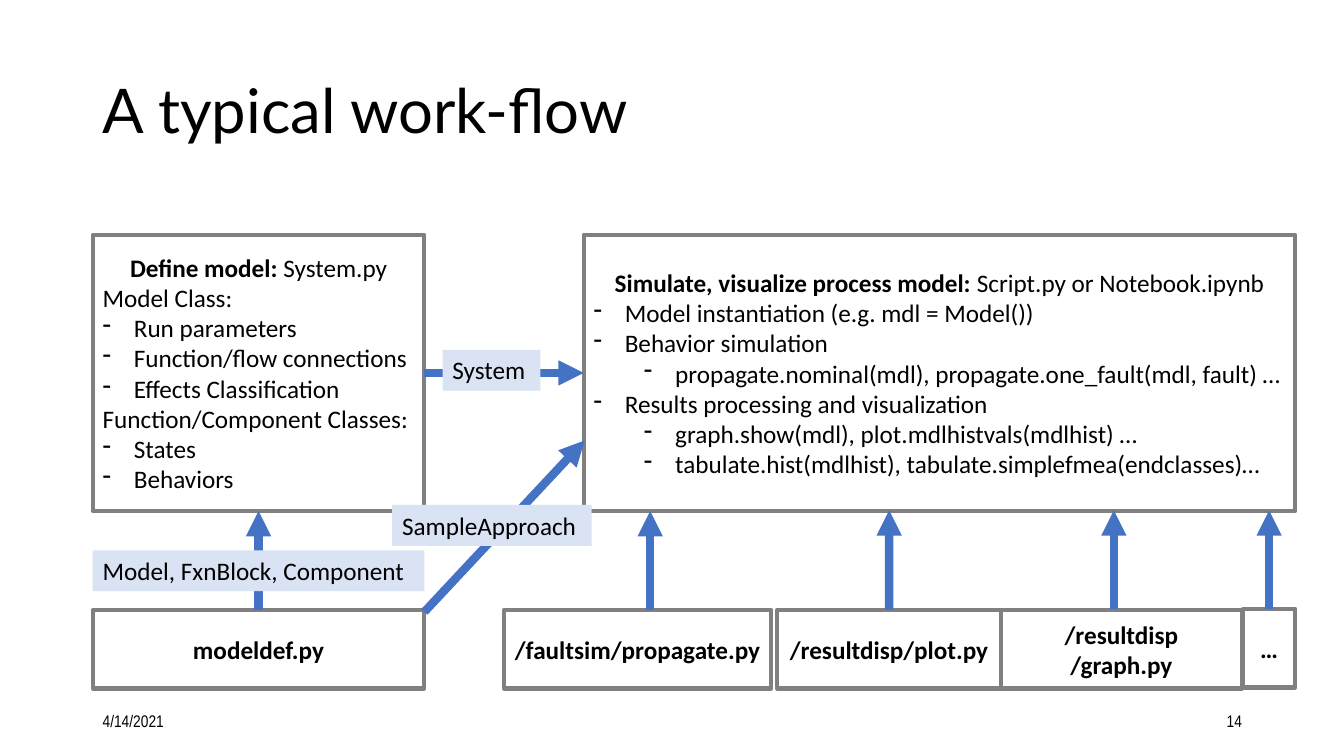
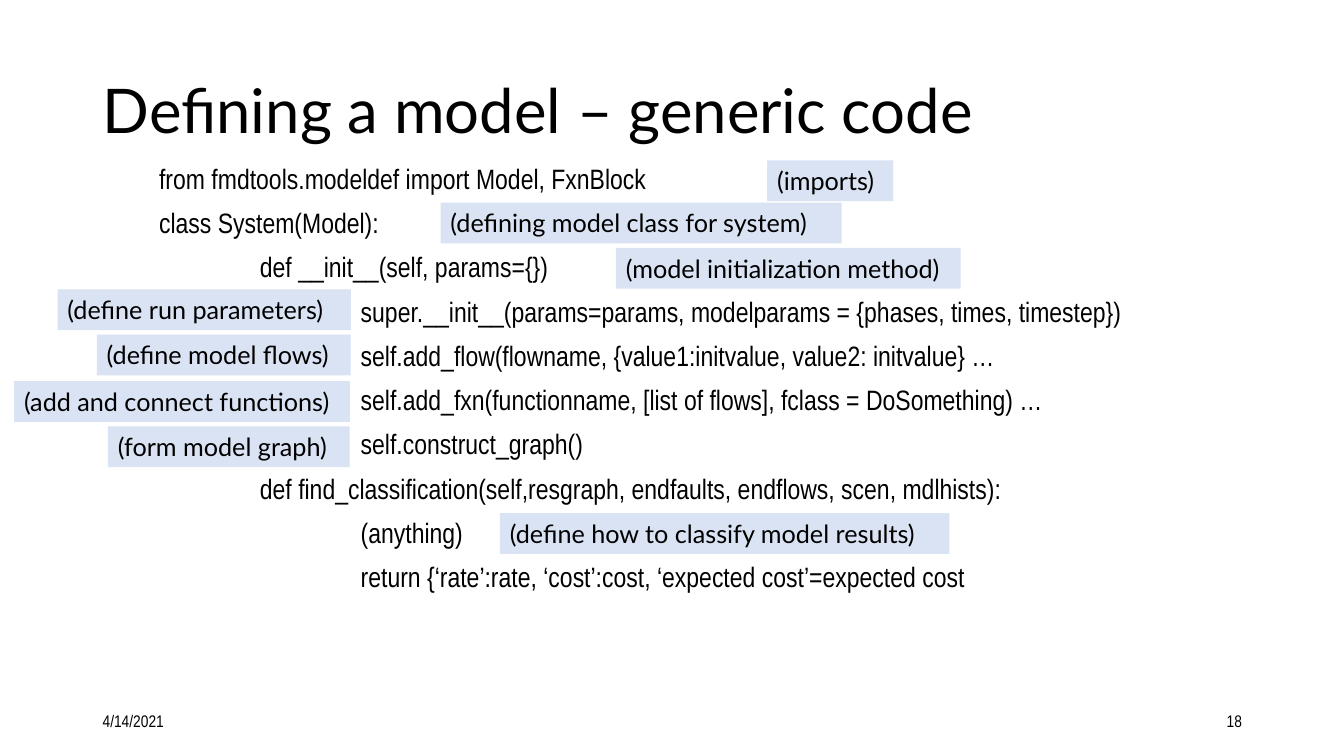
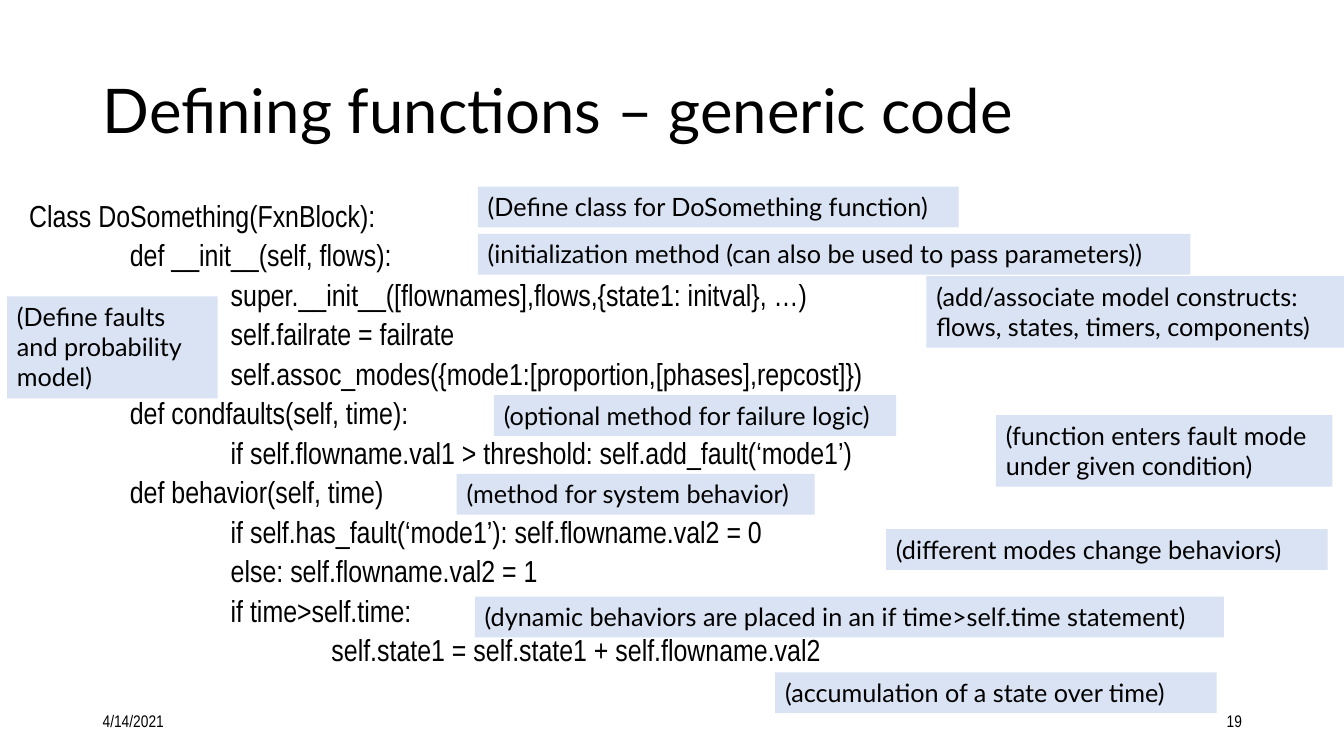
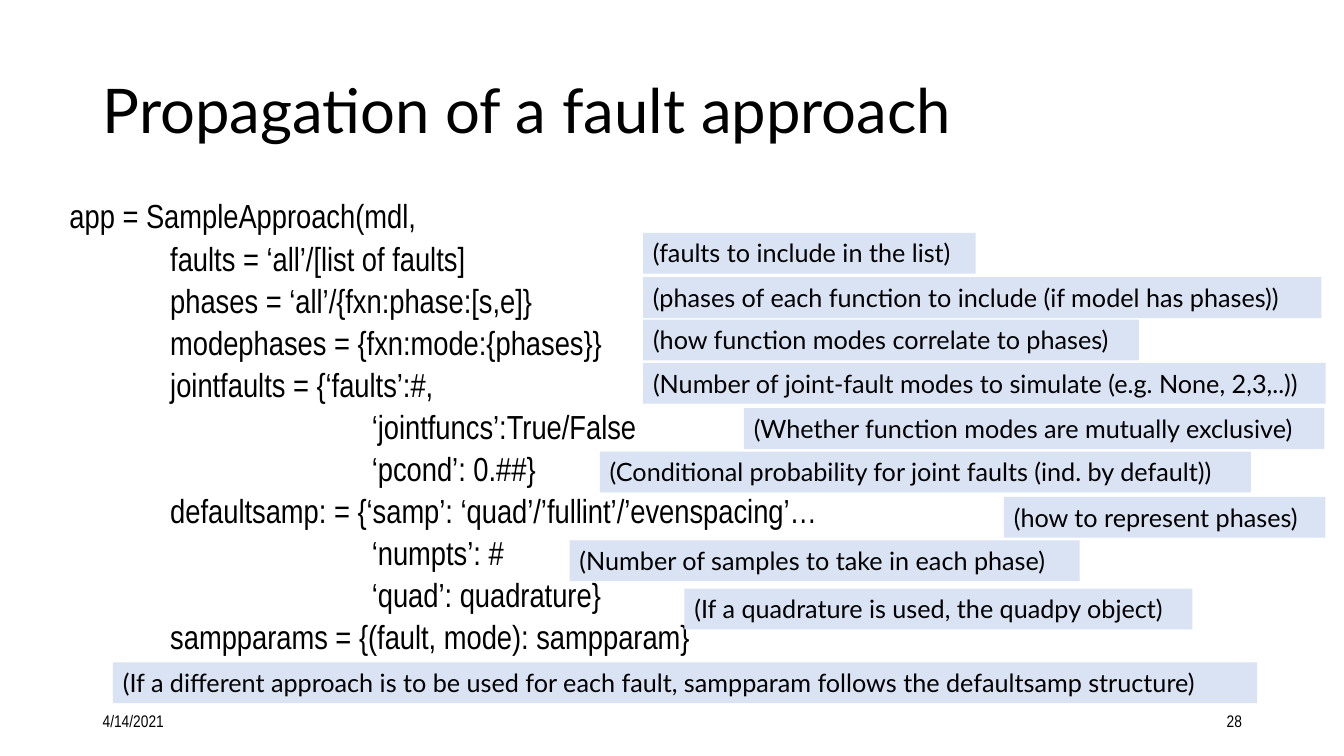
from itertools import cycle
from lxml.etree import SubElement
from pptx import Presentation
from pptx.dml.color import RGBColor
from pptx.enum.shapes import MSO_CONNECTOR, MSO_SHAPE
from pptx.enum.text import MSO_ANCHOR, PP_ALIGN
from pptx.oxml.ns import qn
from pptx.util import Inches, Pt

THEME = {
    "ink": RGBColor.from_string("000000"),
    "paper": RGBColor.from_string("FFFFFF"),
    "edge": RGBColor.from_string("808080"),
    "arrow": RGBColor.from_string("4472C4"),
    "tint": RGBColor.from_string("DAE3F3"),
    "title": {"font": {"name": "Lato", "size": Pt(44)},
              "para": {"line_spacing": 0.9},
              "frame": {"vertical_anchor": MSO_ANCHOR.MIDDLE}},
    "date": {"font": {"name": "Arial Narrow", "size": Pt(12)},
             "para": {},
             "frame": {"vertical_anchor": MSO_ANCHOR.MIDDLE}},
    "number": {"font": {"name": "Arial Narrow", "size": Pt(12)},
               "para": {"alignment": PP_ALIGN.RIGHT},
               "frame": {"vertical_anchor": MSO_ANCHOR.MIDDLE}},
    "step": {"font": {"name": "Calibri", "size": Pt(18)},
             "para": {"alignment": PP_ALIGN.LEFT},
             "frame": {"vertical_anchor": MSO_ANCHOR.MIDDLE}},
    "label": {"font": {"name": "Calibri", "size": Pt(18)}, "para": {}, "frame": {}},
    "note": {"font": {"name": "Lato", "size": Pt(18)}, "para": {}, "frame": {}},
}

deck = Presentation()
deck.slide_width, deck.slide_height = Inches(40 / 3), Inches(7.5)
COL, ROW = deck.slide_width / 100, deck.slide_height / 100
TAB, DASH, NEST = Inches(1), Inches(0.31), Inches(0.5)


def grid(*spans):
    return [round(span * unit) for span, unit in zip(spans, cycle((COL, ROW)))]


def write(shape, lines, look):
    frame = shape.text_frame
    frame.word_wrap = True
    for key, value in look["frame"].items():
        setattr(frame, key, value)
    for spot, line in enumerate(lines):
        para = frame.add_paragraph() if spot else frame.paragraphs[0]
        text = line.lstrip("\t")
        depth = len(line) - len(text)
        for key, value in look["para"].items():
            setattr(para, key, value)
        props = para._p.get_or_add_pPr()
        if text.startswith("- "):
            text = text[2:]
            props.set("marL", str(DASH + depth * NEST))
            props.set("indent", str(-DASH))
            SubElement(props, qn("a:buChar"), char="-")
        elif depth:
            props.set("marL", str(depth * TAB))
        head, bar, rest = text.partition("|")
        if bar:
            para.alignment = PP_ALIGN.CENTER
        for part, bold in ((head, bool(bar)), (rest, False)):
            if part:
                run = para.add_run()
                run.text = part
                run.font.color.rgb = THEME["ink"]
                for key, value in {**look["font"], "bold": bold}.items():
                    setattr(run.font, key, value)


steps = {
    "base": ((6.9, 80.67, 24.68, 10.4), ["modeldef.py|"]),
    "define": ((6.9, 31.07, 24.68, 36.53), [
        "Define model: |System.py",
        "Model Class:",
        "- Run parameters",
        "- Function/flow connections",
        "- Effects Classification",
        "Function/Component Classes:",
        "- States",
        "- Behaviors"]),
    "process": ((43.43, 31.07, 52.95, 36.53), [
        "Simulate, visualize process model: |Script.py or Notebook.ipynb",
        "- Model instantiation (e.g. mdl = Model())",
        "- Behavior simulation",
        "\t- propagate.nominal(mdl), propagate.one_fault(mdl, fault) …",
        "- Results processing and visualization",
        "\t- graph.show(mdl), plot.mdlhistvals(mdlhist) …",
        "\t- tabulate.hist(mdlhist), tabulate.simplefmea(endclasses)…"]),
    "fault": ((37.5, 80.67, 19.88, 10.4), ["/faultsim/propagate.py|"]),
    "plot": ((57.83, 80.67, 16.65, 10.4), ["/resultdisp/plot.py|"]),
    "graph": ((74.48, 80.67, 17.93, 10.4), ["/resultdisp /graph.py|"]),
    "more": ((92.48, 80.53, 3.9, 10.4), ["…|"]),
}

arrows = [
    ((19.24, 80.67, 19.24, 67.6), ("base", 0), ("define", 2)),
    ((31.58, 49.33, 43.43, 49.33), ("define", 3), ("process", 1)),
    ((31.58, 80.93, 43.5, 58.27), None, None),
    ((48.38, 80.67, 48.38, 67.6), None, None),
    ((66.16, 80.67, 66.16, 67.5), ("plot", 0), None),
    ((82.88, 80.53, 82.88, 67.5), None, None),
    ((94.43, 80.53, 94.43, 67.5), ("more", 0), None),
]

pages = [
    {"title": "A typical work-flow", "number": "14", "look": "label",
     "steps": steps, "arrows": arrows,
     "notes": [
         (6.9, 72.8, 24.68, 1, "Model, FxnBlock, Component"),
         (32.93, 46.27, 7.28, 1, "System"),
         (29.18, 66.8, 14.85, 1, "SampleApproach")]},
    {"title": "Defining a model – generic code", "number": "18", "look": "note",
     "area": (11.1, 21.2, 85.65, 73.47), "size": 20, "lead": 0.9,
     "code": [
         "from fmdtools.modeldef import Model, FxnBlock",
         "class System(Model):",
         "\tdef __init__(self, params={})",
         "\t\tsuper.__init__(params=params, modelparams = {phases, times, timestep})",
         "\t\tself.add_flow(flowname, {value1:initvalue, value2: initvalue} …",
         "\t\tself.add_fxn(functionname, [list of flows], fclass = DoSomething) …",
         "\t\tself.construct_graph()",
         "\tdef find_classification(self,resgraph, endfaults, endflows, scen, mdlhists):",
         "\t\t(anything)",
         "\t\treturn {‘rate’:rate, ‘cost’:cost, ‘expected cost’=expected cost"],
     "notes": [
         (57.08, 21.2, 9.38, 1, "(imports)"),
         (32.78, 26.8, 29.85, 1, "(defining model class for system)"),
         (45.83, 32.8, 25.65, 1, "(model initialization method)"),
         (4.28, 38.27, 21.83, 1, "(define run parameters)"),
         (7.2, 44.27, 18.9, 1, "(define model flows)"),
         (1.05, 50.4, 24.98, 1, "(add and connect functions)"),
         (8.03, 56.4, 18, 1, "(form model graph)"),
         (37.2, 67.87, 33.45, 1, "(define how to classify model results)")]},
    {"title": "Defining functions – generic code", "number": "19", "look": "note",
     "area": (1.43, 26.67, 86.25, 63.47), "size": 21.7, "lead": 0.7,
     "code": [
         "Class DoSomething(FxnBlock):",
         "\tdef __init__(self, flows):",
         "\t\tsuper.__init__([flownames],flows,{state1: initval}, …)",
         "\t\tself.failrate = failrate",
         "\t\tself.assoc_modes({mode1:[proportion,[phases],repcost]})",
         "\tdef condfaults(self, time):",
         "\t\tif self.flowname.val1 > threshold: self.add_fault(‘mode1’)",
         "\tdef behavior(self, time)",
         "\t\tif self.has_fault(‘mode1’): self.flowname.val2 = 0",
         "\t\telse: self.flowname.val2 = 1",
         "\t\tif time>self.time:",
         "\t\t\tself.state1 = self.state1 + self.flowname.val2"],
     "notes": [
         (35.55, 24.67, 35.78, 1, "(Define class for DoSomething function)"),
         (35.55, 30.93, 53.03, 1,
          "(initialization method (can also be used to pass parameters))"),
         (68.93, 36.53, 31.07, 2,
          "(add/associate model constructs:\nflows, states, timers, components)"),
         (0.53, 39.2, 15.68, 3, "(Define faults and probability model)"),
         (36.75, 52.27, 29.93, 1, "(optional method for failure logic)"),
         (74.1, 54.93, 25.05, 2, "(function enters fault mode under given condition)"),
         (33.98, 62.67, 26.63, 1, "(method for system behavior)"),
         (65.93, 70, 32.85, 1, "(different modes change behaviors)"),
         (35.33, 78.93, 55.73, 1,
          "(dynamic behaviors are placed in an if time>self.time statement)"),
         (57.68, 88.93, 32.85, 1, "(accumulation of a state over time)")]},
    {"title": "Propagation of a fault approach", "number": "28", "look": "note",
     "area": (4.43, 26.67, 88.65, 63.47), "size": 23.8, "lead": 0.7,
     "code": [
         "app = SampleApproach(mdl,",
         "\tfaults = ‘all’/[list of faults]",
         "\tphases = ‘all’/{fxn:phase:[s,e]}",
         "\tmodephases = {fxn:mode:{phases}}",
         "\tjointfaults = {‘faults’:#,",
         "\t\t\t‘jointfuncs’:True/False",
         "\t\t\t‘pcond’: 0.##}",
         "\tdefaultsamp: = {‘samp’: ‘quad’/’fullint’/’evenspacing’…",
         "\t\t\t‘numpts’: #",
         "\t\t\t‘quad’: quadrature}",
         "\tsampparams = {(fault, mode): sampparam}"],
     "notes": [
         (47.85, 30.8, 24.75, 1, "(faults to include in the list)"),
         (47.85, 36.67, 50.48, 1,
          "(phases of each function to include (if model has phases))"),
         (47.85, 42.27, 36.9, 1, "(how function modes correlate to phases)"),
         (47.85, 48, 50.78, 1,
          "(Number of joint-fault modes to simulate (e.g. None, 2,3,..))"),
         (55.35, 54, 43.2, 1, "(Whether function modes are mutually exclusive)"),
         (44.63, 59.73, 48.45, 1,
          "(Conditional probability for joint faults (ind. by default))"),
         (74.7, 65.73, 23.93, 1, "(how to represent phases)"),
         (42.38, 71.47, 37.95, 1, "(Number of samples to take in each phase)"),
         (50.93, 77.87, 37.8, 1, "(If a quadrature is used, the quadpy object)"),
         (8.4, 87.6, 85.13, 1,
          "(If a different approach is to be used for each fault, "
          "sampparam follows the defaultsamp structure)")]},
]

for page in pages:
    slide = deck.slides.add_slide(deck.slide_layouts[6])
    shapes = slide.shapes

    for area, text, look in (
            ((6.9, 5.33, 86.25, 19.33), page["title"], "title"),
            ((6.9, 92.67, 22.5, 5.33), "4/14/2021", "date"),
            ((70.65, 92.67, 22.5, 5.33), page["number"], "number")):
        write(shapes.add_textbox(*grid(*area)), [text], THEME[look])

    if "code" in page:
        look = {"font": {"name": "Arial Narrow", "size": Pt(page["size"])},
                "para": {"line_spacing": page["lead"], "space_before": Pt(10)},
                "frame": {}}
        write(shapes.add_textbox(*grid(*page["area"])), page["code"], look)

    boxes = {}
    for name, (area, lines) in page.get("steps", {}).items():
        box = shapes.add_shape(MSO_SHAPE.FLOWCHART_PROCESS, *grid(*area))
        box.shadow.inherit = False
        box.fill.solid()
        box.fill.fore_color.rgb = THEME["paper"]
        box.line.color.rgb = THEME["edge"]
        box.line.width = Pt(3)
        write(box, lines, THEME["step"])
        boxes[name] = box

    for ends, start, stop in page.get("arrows", []):
        link = shapes.add_connector(MSO_CONNECTOR.STRAIGHT, *grid(*ends))
        link.line.color.rgb = THEME["arrow"]
        link.line.width = Pt(6)
        SubElement(link.get_or_add_ln(), qn("a:tailEnd"), type="triangle")
        SubElement(link._element.spPr, qn("a:effectLst"))
        if start:
            link.begin_connect(boxes[start[0]], start[1])
        if stop:
            link.end_connect(boxes[stop[0]], stop[1])

    for left, top, wide, rows, text in page["notes"]:
        note = shapes.add_textbox(*grid(left, top, wide, 5.4 + 4.05 * (rows - 1)))
        note.fill.solid()
        note.fill.fore_color.rgb = THEME["tint"]
        write(note, text.split("\n"), THEME[page["look"]])

deck.save("out.pptx")
